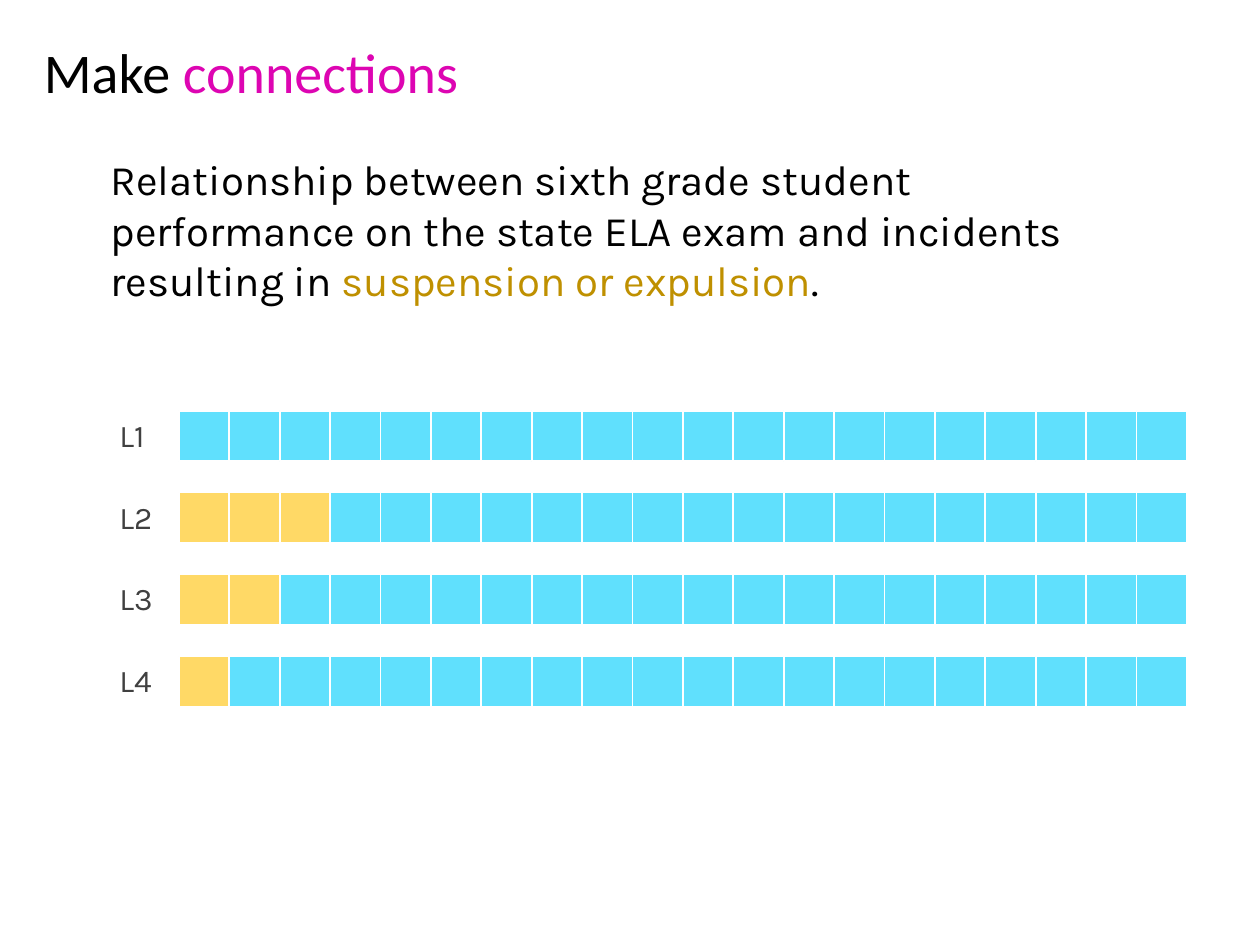
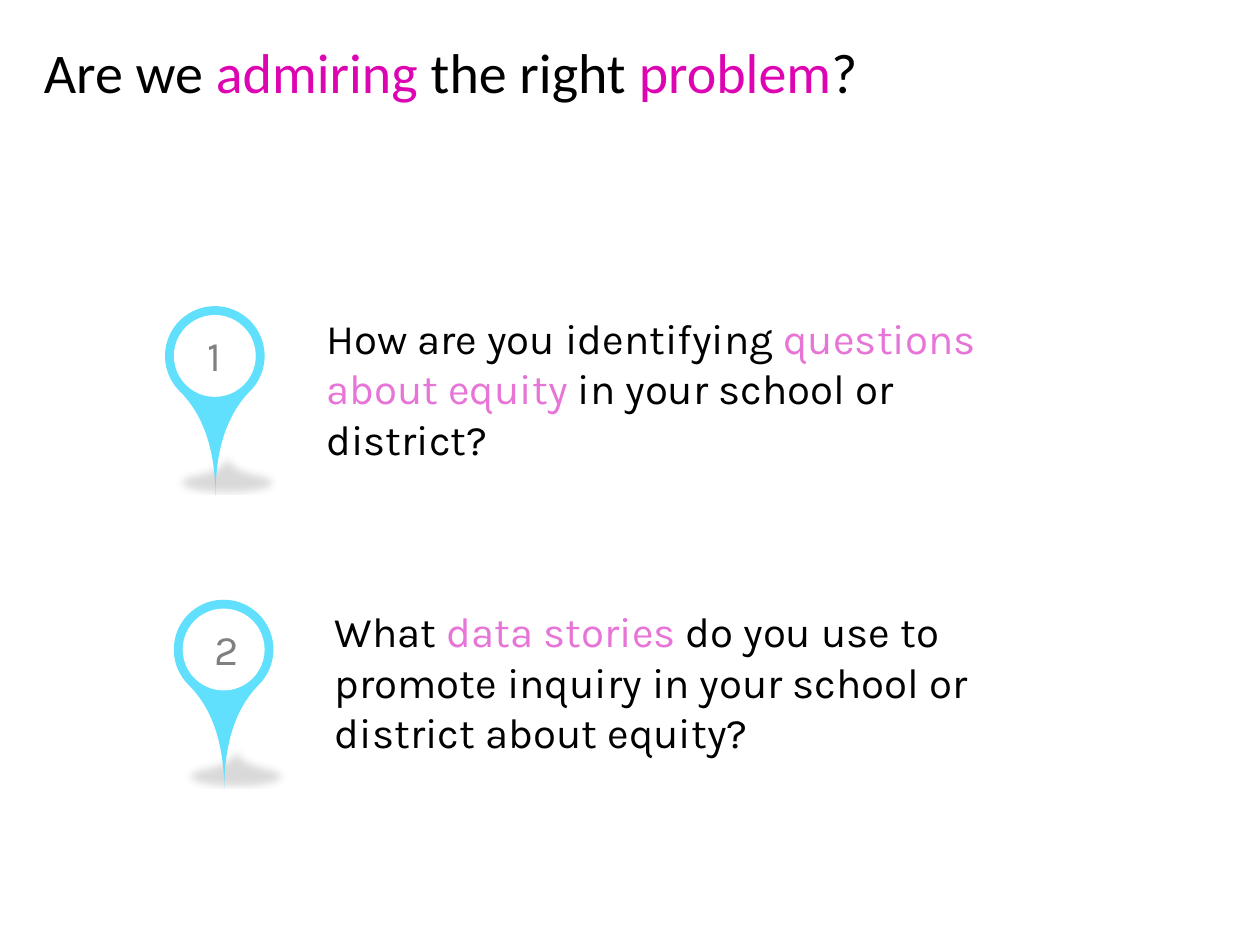
"""Build two slides on equity data: a unit grid of incidents and two numbered questions."""
from dataclasses import dataclass
from typing import Optional

from pptx import Presentation
from pptx.dml.color import RGBColor
from pptx.enum.shapes import MSO_SHAPE as Preset
from pptx.enum.text import MSO_AUTO_SIZE as AutoSize
from pptx.oxml import parse_xml
from pptx.oxml.ns import nsdecls, qn
from pptx.util import Inches, Pt


@dataclass(frozen=True)
class Theme:
    title_font: str = "Calibri"
    body_font: str = "Karla"
    title_size: int = 32
    body_size: int = 24
    label_size: int = 18
    ink: str = "000000"
    label: str = "404040"
    number: str = "808080"
    magenta: str = "DD05B2"
    pink: str = "E775D7"
    ochre: str = "BF9000"
    cyan: str = "60E0FD"
    yellow: str = "FFD966"
    white: str = "FFFFFF"


THEME = Theme()


@dataclass(frozen=True)
class Span:
    text: str
    color: str = THEME.ink


@dataclass(frozen=True)
class Level:
    name: str
    incidents: int


@dataclass(frozen=True)
class Question:
    number: str
    left: float
    top: float
    number_left: float
    spans: tuple[Span, ...]


STUDENTS = 20
SQUARE = 0.4
GRID_LEFT, GRID_TOP, ROW_STEP = 1.42, 3.26, 0.65
PIN, PIN_RIM = 0.79, 0.07

LEVELS = (Level("L1", 0), Level("L2", 3), Level("L3", 2), Level("L4", 1))

QUESTIONS = (
    Question("1", 1.31, 2.43, 1.55, (
        Span("How are you identifying "),
        Span("questions about equity", THEME.pink),
        Span(" in your school or district?"),
    )),
    Question("2", 1.38, 4.76, 1.6, (
        Span("What "),
        Span("data stories ", THEME.pink),
        Span("do you use to promote inquiry in your school or district about equity?"),
    )),
)


def add_text(slide, spans: tuple[Span, ...], left: float, top: float, width: float,
             height: float, *, size: int = THEME.body_size,
             font: str = THEME.body_font) -> None:
    """Write one paragraph of coloured spans in a wrapping text box."""
    frame = slide.shapes.add_textbox(
        Inches(left), Inches(top), Inches(width), Inches(height)).text_frame
    frame.word_wrap = True
    frame.auto_size = AutoSize.SHAPE_TO_FIT_TEXT
    for span in spans:
        run = frame.paragraphs[0].add_run()
        run.text = span.text
        run.font.name = font
        run.font.size = Pt(size)
        run.font.color.rgb = RGBColor.from_string(span.color)


def add_title(slide, *spans: Span, width: float) -> None:
    """Write the slide title."""
    add_text(slide, spans, 0.25, 0.25, width, 0.64,
             size=THEME.title_size, font=THEME.title_font)


def add_block(group, preset: Preset, left: float, top: float, side: float,
              fill: str, outline: Optional[str] = None):
    """Draw an equal-sided filled shape, outlined only when a colour is given."""
    block = group.shapes.add_shape(
        preset, Inches(left), Inches(top), Inches(side), Inches(side))
    block.shadow.inherit = False
    block.fill.solid()
    block.fill.fore_color.rgb = RGBColor.from_string(fill)
    if outline:
        block.line.color.rgb = RGBColor.from_string(outline)
        block.line.width = Pt(1)
    else:
        block.line.fill.background()
    return block


def add_level(slide, level: Level, row: int) -> None:
    """Draw one labelled row of student squares, incidents first."""
    top = GRID_TOP + row * ROW_STEP
    squares = slide.shapes.add_group_shape()
    for student in range(STUDENTS):
        fill = THEME.yellow if student < level.incidents else THEME.cyan
        add_block(squares, Preset.RECTANGLE, GRID_LEFT + student * SQUARE, top,
                  SQUARE, fill, THEME.white)
    add_text(slide, (Span(level.name, THEME.label),), 0.85, top - 0.01, 0.47, 0.4,
             size=THEME.label_size)


def cast_ground_shadow(drop) -> None:
    """Give a shape a soft, flattened shadow below it."""
    effects = drop._element.spPr.find(qn("a:effectLst"))
    effects.append(parse_xml(
        f'<a:outerShdw {nsdecls("a")} blurRad="{Pt(5)}" dist="{Pt(5)}" dir="5400000" '
        'sx="90000" sy="-19000" rotWithShape="0">'
        f'<a:srgbClr val="{THEME.ink}"><a:alpha val="15000"/></a:srgbClr></a:outerShdw>'))


def add_question(slide, question: Question) -> None:
    """Draw a numbered map pin with its question to the right."""
    left, top = question.left, question.top
    pin = slide.shapes.add_group_shape()
    drop = add_block(pin, Preset.TEAR, left, top, PIN, THEME.cyan)
    drop.adjustments[0] = 2.0
    drop.rotation = 134.7
    cast_ground_shadow(drop)
    add_block(pin, Preset.OVAL, left + PIN_RIM, top + PIN_RIM, PIN - 2 * PIN_RIM, THEME.white)
    add_text(slide, question.spans, left + 1.18, top, 5.62, 1.31)
    add_text(slide, (Span(question.number, THEME.number),),
             question.number_left, top + 0.14, 0.39, 0.5)


def build_connections(slide) -> None:
    """Show suspensions and expulsions by exam level."""
    add_title(slide, Span("Make "), Span("connections", THEME.magenta), width=5.5)
    add_text(slide, (
        Span("Relationship between sixth grade student performance on the state "
             "ELA exam and incidents resulting in "),
        Span("suspension or expulsion", THEME.ochre),
        Span("."),
    ), 0.78, 1.17, 8.3, 1.31)
    for row, level in enumerate(LEVELS):
        add_level(slide, level, row)


def build_problem(slide) -> None:
    """Ask the two questions about equity."""
    add_title(slide, Span("Are we "), Span("admiring", THEME.magenta), Span(" the right "),
              Span("problem", THEME.magenta), Span("?"), width=7.33)
    for question in QUESTIONS:
        add_question(slide, question)


def main() -> None:
    """Build and save the presentation."""
    deck = Presentation()
    deck.slide_width, deck.slide_height = Inches(10), Inches(7.5)
    blank = deck.slide_layouts[6]
    for build in (build_connections, build_problem):
        build(deck.slides.add_slide(blank))
    deck.save("out.pptx")


if __name__ == "__main__":
    main()
